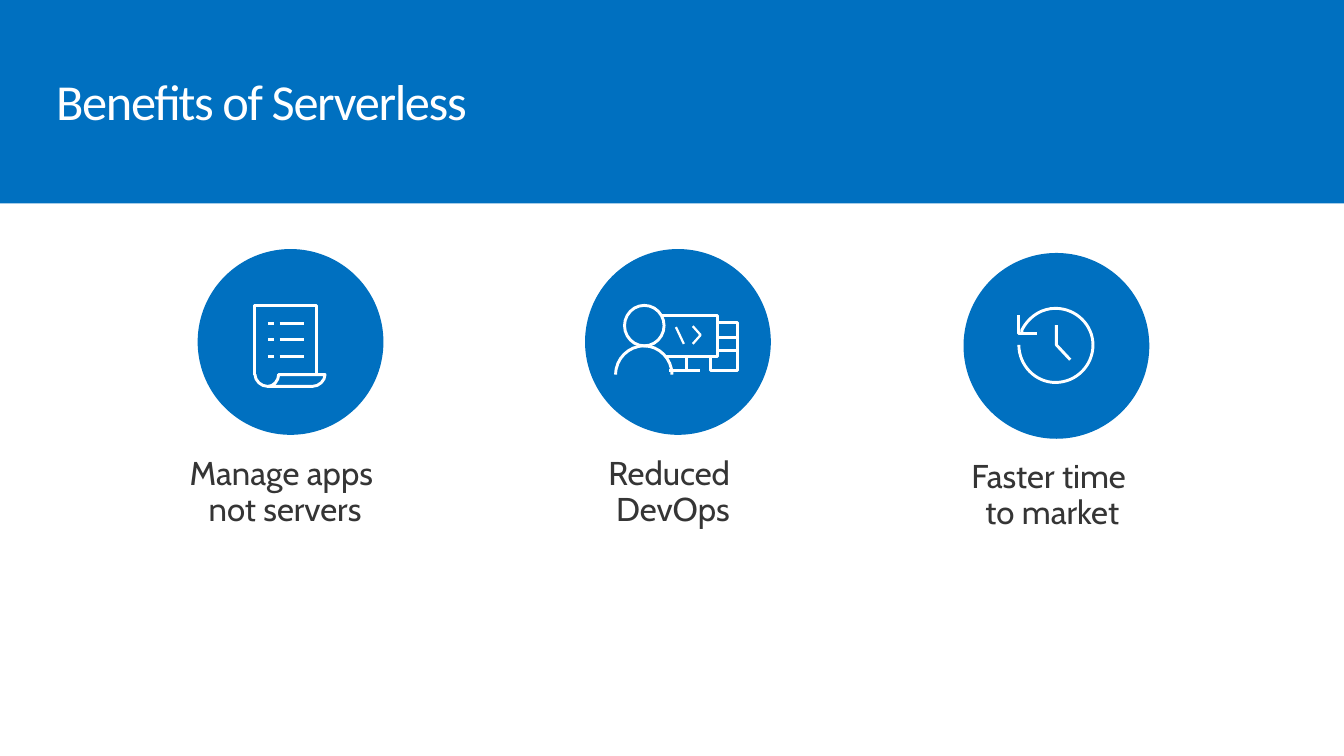
"""Build the "Benefits of Serverless" slide with three outlined icons."""
from lxml.etree import SubElement
from pptx import Presentation
from pptx.dml.color import RGBColor
from pptx.enum.shapes import MSO_CONNECTOR, MSO_SHAPE
from pptx.enum.text import MSO_ANCHOR, PP_ALIGN
from pptx.oxml.ns import qn
from pptx.util import Pt

PX = 9144
COLORS = {"blue": "0070C0", "white": "FFFFFF", "text": "353535"}
STROKE, THIN_STROKE = 2.13, 1.63
DISC_SIZE = 188

TITLE = "Benefits of Serverless"
TITLE_BOX = (47, 73, 1300, 61)
BANNER_BOX = (0, 0, 1360, 206)

LIST_ROWS = (327, 344, 361)
BENEFITS = [
    {
        "label": ("Reduced ", "DevOps"),
        "label_box": (542, 447, 288, 107),
        "disc": (592, 252),
        "rings": [(632, 309, 40, 41)],
        "curve": [(680, 379), (680, 363), (667, 350), (652, 350),
                  (636, 350), (623, 363), (623, 379)],
        "lines": [
            [(674, 361), (726, 361), (726, 319), (669, 319)],
            [(695, 375), (695, 361)],
            [(726, 326), (746, 326), (746, 375), (719, 375), (719, 361)],
            [(708, 375), (677, 375)],
            [(746, 342), (726, 342)],
            [(746, 355), (726, 355)],
        ],
        "thin_lines": [
            [(684, 331), (692, 348)],
            [(701, 330), (709, 339), (701, 348)],
        ],
    },
    {
        "label": ("Manage apps ", "not servers"),
        "label_box": (145, 447, 297, 107),
        "disc": (200, 252),
        "curve": [(258, 379), (258, 385), (264, 391), (271, 391),
                  (277, 391), (282, 385), (282, 379),
                  (329, 379), (329, 379), (329, 379),
                  (329, 385), (323, 391), (316, 391),
                  (271, 391), (271, 391), (271, 391)],
        "lines": [[(258, 380), (258, 309), (320, 309), (320, 379)]]
        + [[(left, row), (right, row)]
           for left, right in ((283, 308), (271, 277)) for row in LIST_ROWS],
    },
    {
        "label": ("Faster time ", "to market"),
        "label_box": (933, 450, 274, 107),
        "disc": (975, 256),
        "curve": [(1034, 336), (1034, 336), (1034, 335), (1034, 334),
                  (1035, 332), (1036, 331), (1037, 329),
                  (1044, 319), (1055, 312), (1068, 312),
                  (1089, 312), (1106, 329), (1106, 349),
                  (1106, 370), (1089, 387), (1068, 387),
                  (1048, 387), (1031, 370), (1031, 349)],
        "lines": [
            [(1069, 329), (1069, 349), (1083, 364)],
            [(1049, 337), (1031, 337), (1031, 319)],
        ],
    },
]


def emu(lengths):
    return [length * PX for length in lengths]


def color(name):
    return RGBColor.from_string(COLORS[name])


def add_filled(shapes, kind, box):
    shape = shapes.add_shape(kind, *emu(box))
    shape.shadow.inherit = False
    shape.fill.solid()
    shape.fill.fore_color.rgb = color("blue")
    shape.line.fill.background()


def set_stroke(shape, width):
    shape.line.color.rgb = color("white")
    shape.line.width = Pt(width)


def set_outline(shape, width):
    shape.shadow.inherit = False
    shape.fill.background()
    set_stroke(shape, width)


def add_freeform(shapes, points, width):
    start, *rest = [emu(point) for point in points]
    builder = shapes.build_freeform(*start, scale=1.0)
    builder.add_line_segments(rest, close=False)
    freeform = builder.convert_to_shape()
    set_outline(freeform, width)
    return freeform


def add_line(shapes, points, width):
    if len(points) > 2:
        add_freeform(shapes, points, width)
        return
    start, end = [emu(point) for point in points]
    connector = shapes.add_connector(MSO_CONNECTOR.STRAIGHT, *start, *end)
    set_stroke(connector, width)
    SubElement(connector._element.spPr, qn("a:effectLst"))


def add_curve(shapes, points, width):
    freeform = add_freeform(shapes, points, width)
    outline = next(freeform._element.iter(qn("a:path")))
    segments = outline.findall(qn("a:lnTo"))
    for first in range(0, len(segments), 3):
        bezier = SubElement(outline, qn("a:cubicBezTo"))
        for segment in segments[first:first + 3]:
            bezier.append(segment[0])
            outline.remove(segment)


def add_text(slide, box, lines, font_name, size, color_name):
    frame = slide.shapes.add_textbox(*emu(box)).text_frame
    frame.word_wrap = True
    frame.vertical_anchor = MSO_ANCHOR.TOP
    paragraph = frame.paragraphs[0]
    paragraph.line_spacing = 0.9
    for index, line in enumerate(lines):
        if index:
            paragraph.add_line_break()
        run = paragraph.add_run()
        run.text = line
        run.font.name = font_name
        run.font.size = Pt(size)
        run.font.color.rgb = color(color_name)
    return frame


def add_benefit(slide, benefit):
    frame = add_text(slide, benefit["label_box"], benefit["label"],
                     "Cabin", 24, "text")
    frame.margin_left, frame.margin_right = emu((10, 20))
    frame.margin_top, frame.margin_bottom = emu((16, 16))
    frame.paragraphs[0].alignment = PP_ALIGN.CENTER
    frame.paragraphs[0].space_after = Pt(6)

    shapes = slide.shapes.add_group_shape().shapes
    add_filled(shapes, MSO_SHAPE.OVAL,
               (*benefit["disc"], DISC_SIZE, DISC_SIZE))
    for ring in benefit.get("rings", []):
        set_outline(shapes.add_shape(MSO_SHAPE.OVAL, *emu(ring)), STROKE)
    add_curve(shapes, benefit["curve"], STROKE)
    for line in benefit["lines"]:
        add_line(shapes, line, STROKE)
    for line in benefit.get("thin_lines", []):
        add_line(shapes, line, THIN_STROKE)


def main():
    presentation = Presentation()
    presentation.slide_width, presentation.slide_height = emu((1360, 765))
    slide = presentation.slides.add_slide(presentation.slide_layouts[6])
    for benefit in BENEFITS:
        add_benefit(slide, benefit)
    add_filled(slide.shapes, MSO_SHAPE.RECTANGLE, BANNER_BOX)
    title = add_text(slide, TITLE_BOX, [TITLE], "Calibri", 36.7, "white")
    title.paragraphs[0].runs[0].font._element.set("spc", "-100")
    presentation.save("out.pptx")


if __name__ == "__main__":
    main()
